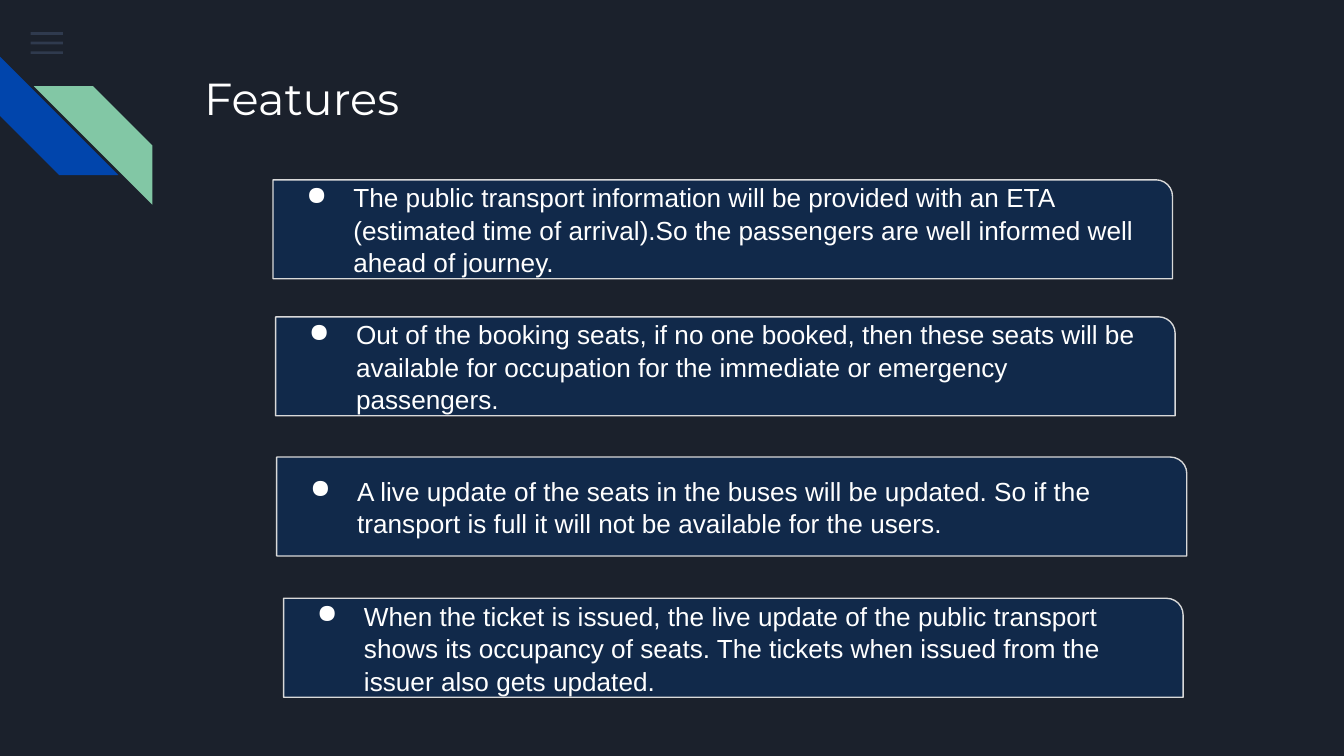
"""Build the Features slide with four bulleted cards."""
from dataclasses import dataclass

from lxml import etree
from pptx import Presentation
from pptx.dml.color import RGBColor
from pptx.enum.shapes import MSO_SHAPE
from pptx.enum.text import MSO_ANCHOR, PP_ALIGN
from pptx.oxml.ns import qn
from pptx.util import Cm, Pt

RECT = MSO_SHAPE.RECTANGLE
STRIPE = MSO_SHAPE.DIAGONAL_STRIPE
CARD = MSO_SHAPE.ROUND_1_RECTANGLE
TOP, MIDDLE = MSO_ANCHOR.TOP, MSO_ANCHOR.MIDDLE
LEFT = PP_ALIGN.LEFT


@dataclass(frozen=True)
class Theme:
    back: str = "1B212C"
    menu: str = "55688B"
    blue: str = "0145AC"
    green: str = "82C7A5"
    card: str = "11294A"
    edge: str = "D9D9D9"
    text: str = "FFFFFF"
    head: str = "Montserrat"
    body: str = "Arial"
    large: int = 24
    small: int = 14


THEME = Theme()

CARDS = [
    (5.16, 3.4, 17, "The public transport information will be provided with an ETA "
     "(estimated time of arrival).So the passengers are well informed well "
     "ahead of journey."),
    (5.21, 5.99, 17, "Out of the booking seats, if no one booked, then these seats "
     "will be available for occupation for the immediate or emergency passengers."),
    (5.23, 8.64, 17.2, "A live update of the seats in the buses will be updated. "
     "So if the transport is full it will not be available for the users."),
    (5.36, 11.31, 17, "When the ticket is issued, the live update of the public "
     "transport shows its occupancy of seats. The tickets when issued from the "
     "issuer also gets updated."),
]


def set_all(item, values):
    for name, value in values.items():
        setattr(item, name, value)


def add_shape(slide, kind, box, fill, turn=0):
    shape = slide.shapes.add_shape(kind, *map(Cm, box))
    shape.shadow.inherit = False
    shape.fill.solid()
    shape.fill.fore_color.rgb = RGBColor.from_string(fill)
    shape.line.fill.background()
    shape.rotation = turn
    return shape


def fade(shape, share):
    color = shape.fill._xPr.find(qn("a:solidFill"))[0]
    etree.SubElement(color, qn("a:alpha"), val=str(share * 1000))


def add_bullet(para):
    props = para._p.get_or_add_pPr()
    set_all(para, {"line_spacing": 1.04})
    props.set("marL", str(Cm(1.27)))
    props.set("indent", str(Cm(-0.89)))
    color = etree.SubElement(props, qn("a:buClr"))
    etree.SubElement(color, qn("a:srgbClr"), val=THEME.text)
    etree.SubElement(props, qn("a:buChar"), char="●")


def write(shape, text, face, size, anchor, bullet=False):
    frame = shape.text_frame
    sides = ("left", "top", "right", "bottom")
    set_all(frame, {f"margin_{side}": Cm(0.25) for side in sides})
    set_all(frame, {"word_wrap": True, "vertical_anchor": anchor})
    para = frame.paragraphs[0]
    set_all(para, {"text": text, "alignment": LEFT})
    if bullet:
        add_bullet(para)
    font = para.runs[0].font
    set_all(font, {"name": face, "size": Pt(size)})
    font.color.rgb = RGBColor.from_string(THEME.text)


def add_menu(slide):
    for row in range(3):
        fade(add_shape(slide, RECT, (0.58, 0.61 + 0.18 * row, 0.61, 0.05), THEME.menu), 36)


def add_title(slide, text):
    box = slide.shapes.add_textbox(Cm(3.61), Cm(1.09), Cm(15.39), Cm(1.88))
    write(box, text, THEME.head, THEME.large, TOP)


def add_card(slide, left, top, width, text):
    card = add_shape(slide, CARD, (left, top, width, 1.87), THEME.card)
    card.line.color.rgb = RGBColor.from_string(THEME.edge)
    card.line.width = Pt(0.75)
    write(card, text, THEME.body, THEME.small, MIDDLE, bullet=True)


def main():
    deck = Presentation()
    set_all(deck, {"slide_width": Cm(25.4), "slide_height": Cm(14.29)})
    slide = deck.slides.add_slide(deck.slide_layouts[6])
    fill = slide.background.fill
    fill.solid()
    fill.fore_color.rgb = RGBColor.from_string(THEME.back)
    add_menu(slide)
    add_shape(slide, STRIPE, (0, 1.07, 2.24, 2.24), THEME.blue, 270)
    add_shape(slide, STRIPE, (0.64, 1.63, 2.24, 2.24), THEME.green, 90)
    add_title(slide, "Features")
    for card in CARDS:
        add_card(slide, *card)
    deck.save("out.pptx")


if __name__ == "__main__":
    main()
